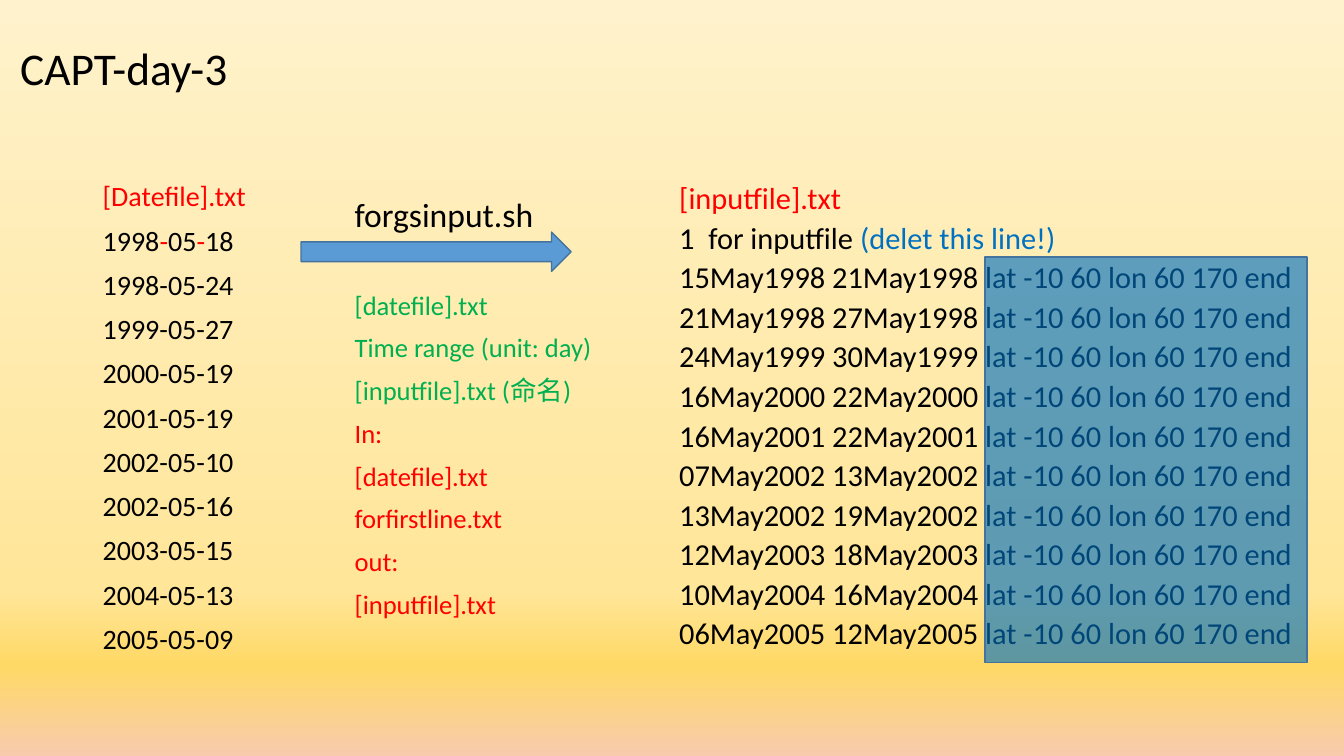
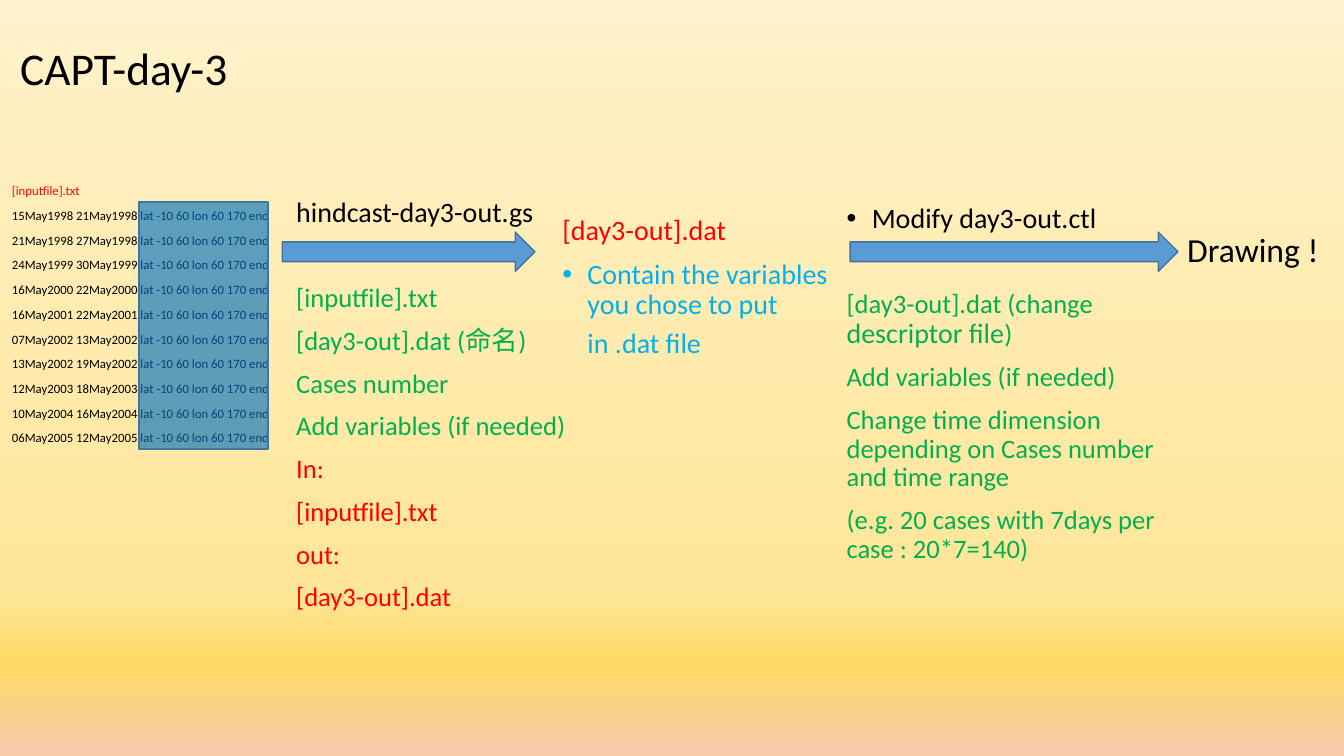
"""Build two slides that explain the CAPT day-3 workflow."""
from lxml import etree
from pptx import Presentation
from pptx.dml.color import RGBColor
from pptx.enum.shapes import MSO_SHAPE
from pptx.enum.text import MSO_ANCHOR, MSO_AUTO_SIZE, PP_ALIGN
from pptx.oxml.ns import qn
from pptx.util import Inches, Pt

ARROW, RECTANGLE = MSO_SHAPE.RIGHT_ARROW, MSO_SHAPE.RECTANGLE
MIDDLE, LEFT, FIXED = MSO_ANCHOR.MIDDLE, PP_ALIGN.LEFT, MSO_AUTO_SIZE.NONE
TITLE_ONLY = 5
FONT = "Calibri"
BLACK, RED, GREEN, SKY, BLUE = "000000", "FF0000", "00B050", "00B0F0", "0070C0"
ARROW_FILL, OUTLINE = "5B9BD5", "43739E"
BACKDROP = [(0, "FFF2CC"), (78, "FFE699"), (88, "FFD966"), (100, "F8CBAD")]
ARROW_TOP, ARROW_HEIGHT = 30.7, 5.2

TITLE = "CAPT-day-3"
INPUT_FILE = "[inputfile].txt"
OUTPUT_FILE = "[day3-out].dat"
REGION = "lat -10 60 lon 60 170 end"
ONSET_DATES = [
    "1998-05-24", "1999-05-27", "2000-05-19", "2001-05-19", "2002-05-10",
    "2002-05-16", "2003-05-15", "2004-05-13", "2005-05-09",
]
PERIODS = [
    "15May1998 21May1998", "21May1998 27May1998", "24May1999 30May1999",
    "16May2000 22May2000", "16May2001 22May2001", "07May2002 13May2002",
    "13May2002 19May2002", "12May2003 18May2003", "10May2004 16May2004",
    "06May2005 12May2005",
]
CASES = [f"{period} {REGION}" for period in PERIODS]


def rgb(value):
    """Turn a hex string into a colour."""
    return RGBColor.from_string(value)


class Deck:
    """Hold the shared style and the current slide."""

    def __init__(self):
        """Set the slide size and the shared backdrop."""
        self.prs = Presentation()
        self.prs.slide_width, self.prs.slide_height = Inches(13.33), Inches(7.5)
        self.slide = None
        self.paint_backdrop()

    def paint_backdrop(self):
        """Give the master a vertical gradient."""
        master = self.prs.slide_master
        fill = master.background.fill
        fill.gradient()
        fill.gradient_angle = 270
        stops = master.element.find(".//" + qn("a:gsLst"))
        for stop in list(stops):
            stops.remove(stop)
        for share, color in BACKDROP:
            stop = etree.SubElement(stops, qn("a:gs"), pos=str(share * 1000))
            etree.SubElement(stop, qn("a:srgbClr"), val=color)

    def area(self, left, top, width, height):
        """Turn percentages of the slide into lengths."""
        across, down = self.prs.slide_width / 100, self.prs.slide_height / 100
        return [int(left * across), int(top * down), int(width * across), int(height * down)]

    def add_slide(self, title):
        """Start a slide and format its title."""
        self.slide = self.prs.slides.add_slide(self.prs.slide_layouts[TITLE_ONLY])
        heading = self.slide.shapes.title
        heading.left, heading.top, heading.width, heading.height = self.area(0.75, 0.1, 86.2, 19.3)
        frame = heading.text_frame
        frame.auto_size, frame.vertical_anchor = FIXED, MIDDLE
        self.add_text(frame, title, size=32.4, spacing=0.7)

    def text_box(self, *place):
        """Add a wrapping text box and return its frame."""
        frame = self.slide.shapes.add_textbox(*self.area(*place)).text_frame
        frame.word_wrap = True
        return frame

    def add_text(self, frame, text, size=20, color=BLACK, spacing=0.9, before=10,
                 bullet=False, indent=0):
        """Add one paragraph, given as a string or as (text, format) runs."""
        paragraph = frame.paragraphs[0]
        first = not paragraph.runs
        if not first:
            paragraph = frame.add_paragraph()
        if bullet or indent:
            properties = paragraph._p.get_or_add_pPr()
            properties.set("marL", str(Inches(indent)))
            properties.set("indent", str(-Inches(indent) if bullet else 0))
            if bullet:
                etree.SubElement(properties, qn("a:buFont"), typeface="Arial")
                etree.SubElement(properties, qn("a:buChar"), char="•")
        paragraph.alignment, paragraph.line_spacing = LEFT, spacing
        paragraph.space_before = Pt(0 if first else before)
        for words, changes in [(text, {})] if isinstance(text, str) else text:
            run = paragraph.add_run()
            run.text = words
            run.font.name = FONT
            run.font.size = Pt(changes.get("size", size))
            run.font.color.rgb = rgb(changes.get("color", color))

    def add_lines(self, frame, lines, **style):
        """Add several paragraphs in one format."""
        for text in lines:
            self.add_text(frame, text, **style)

    def shape(self, kind, place, fill, opacity=100):
        """Add an outlined preset shape."""
        shape = self.slide.shapes.add_shape(kind, *self.area(*place))
        shape.shadow.inherit = False
        shape.fill.solid()
        shape.fill.fore_color.rgb = rgb(fill)
        shape.line.color.rgb = rgb(OUTLINE)
        shape.line.width = Pt(1)
        if opacity < 100:
            color = shape.element.spPr.find(qn("a:solidFill")).find(qn("a:srgbClr"))
            etree.SubElement(color, qn("a:alpha"), val=str(opacity * 1000))

    def arrow(self, left, width):
        """Add an arrow on the shared workflow line."""
        self.shape(ARROW, (left, ARROW_TOP, width, ARROW_HEIGHT), ARROW_FILL)

    def highlight(self, *place):
        """Cover the region columns with a translucent box."""
        self.shape(RECTANGLE, place, BLUE, opacity=63)

    def step(self, left, script, size, gap, settings, files):
        """Describe a script with its settings and its files."""
        frame = self.text_box(left, 25.6, 22.3, 62)
        self.add_text(frame, script, size=size)
        self.add_text(frame, settings[0], size=19, color=GREEN, before=gap)
        self.add_lines(frame, settings[1:], size=19, color=GREEN)
        self.add_lines(frame, files, size=19, color=RED)


def build_input_slide(deck):
    """Show how the date file becomes the input file."""
    deck.add_slide(TITLE)
    dates = deck.text_box(6.9, 23.5, 17.6, 65.5)
    deck.add_text(dates, "[Datefile].txt", color=RED)
    dash = ("-", {"color": RED})
    deck.add_text(dates, [("1998", {}), dash, ("05", {}), dash, ("18", {})])
    deck.add_lines(dates, ONSET_DATES)

    cases = deck.text_box(49.8, 24.4, 48.5, 63.5)
    style = {"size": 21.7, "spacing": 0.7}
    deck.add_text(cases, INPUT_FILE, color=RED, **style)
    note = [("1  for inputfile ", {}), ("(delet this line!)", {"color": BLUE})]
    deck.add_text(cases, note, **style)
    deck.add_lines(cases, CASES, **style)

    deck.arrow(22.4, 20.1)
    deck.step(25.65, "forgsinput.sh", 24, 41,
              ["[datefile].txt", "Time range (unit: day)", f"{INPUT_FILE} (命名)"],
              ["In:", "[datefile].txt", "forfirstline.txt", "out:", INPUT_FILE])
    deck.highlight(73.3, 34, 23.95, 53.6)


def build_output_slide(deck):
    """Show how the input file leads to the drawing."""
    deck.add_slide(TITLE)
    control = deck.text_box(62.25, 26.4, 26.3, 62)
    deck.add_text(control, "Modify day3-out.ctl", bullet=True, indent=0.25)
    change = [(f"{OUTPUT_FILE} (change ", {}), ("descriptor file", {"size": 20}), (")", {})]
    deck.add_text(control, change, size=19, color=GREEN, before=40)
    deck.add_lines(control, [
        "Add variables (if needed)",
        "Change time dimension depending on Cases number and time range",
        "(e.g. 20 cases with 7days per case : 20*7=140)",
    ], size=19, color=GREEN)

    deck.step(21.3, "hindcast-day3-out.gs", 20, 40,
              [INPUT_FILE, f"{OUTPUT_FILE} (命名)", "Cases number", "Add variables (if needed)"],
              ["In:", INPUT_FILE, "out:", OUTPUT_FILE])
    deck.add_text(deck.text_box(87.6, ARROW_TOP, 12.4, 6.1), "Drawing !", size=24, spacing=0.8)

    cases = deck.text_box(0.15, 24.1, 22.3, 39.2)
    style = {"size": 9.1, "spacing": 0.7}
    deck.add_text(cases, INPUT_FILE, color=RED, **style)
    deck.add_lines(cases, CASES, **style)
    deck.highlight(10.35, 26.7, 9.6, 32.7)

    deck.arrow(21, 18.8)
    deck.arrow(63.25, 24.4)
    output = deck.text_box(41.1, 27.9, 22.9, 65.5)
    deck.add_text(output, OUTPUT_FILE, color=RED)
    deck.add_text(output, "Contain the variables you chose to put", color=SKY,
                  bullet=True, indent=0.25)
    deck.add_text(output, "in .dat file", color=SKY, before=6, indent=0.25)


def main():
    """Build and save the slides."""
    deck = Deck()
    build_input_slide(deck)
    build_output_slide(deck)
    deck.prs.save("out.pptx")


if __name__ == "__main__":
    main()
